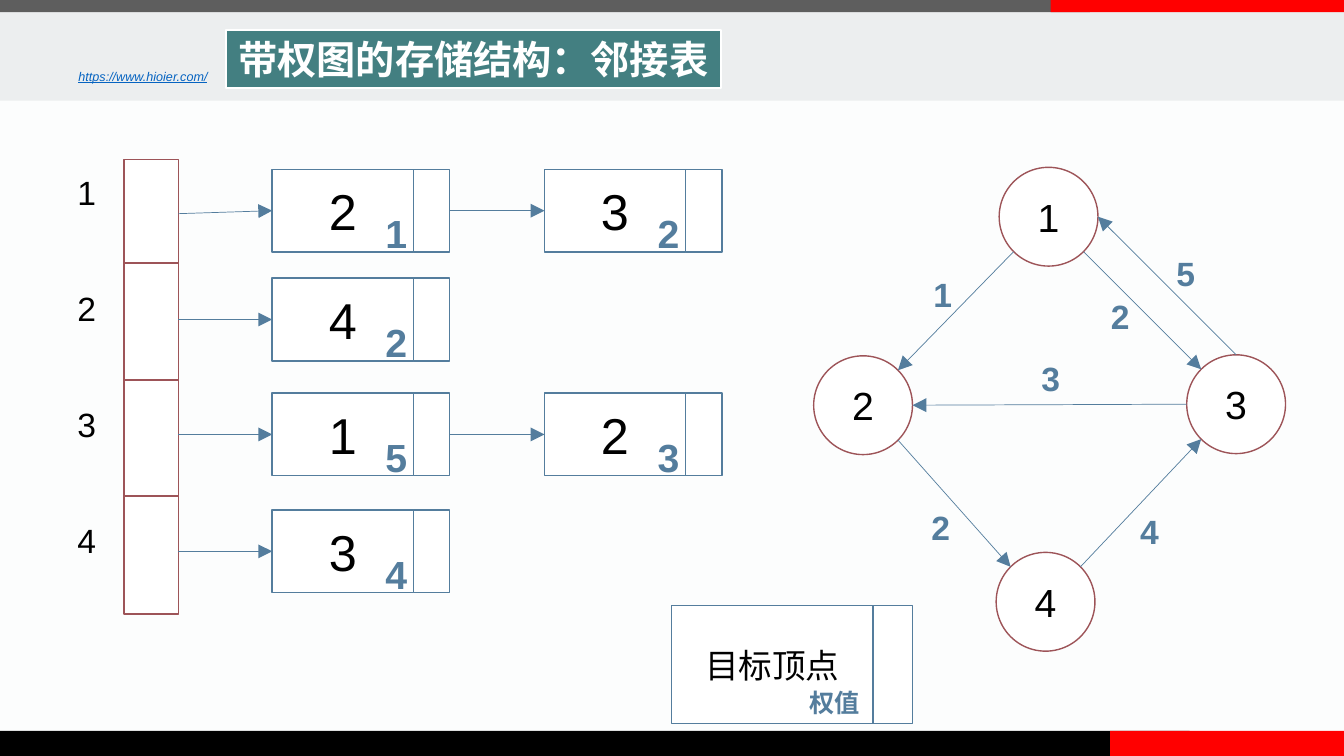
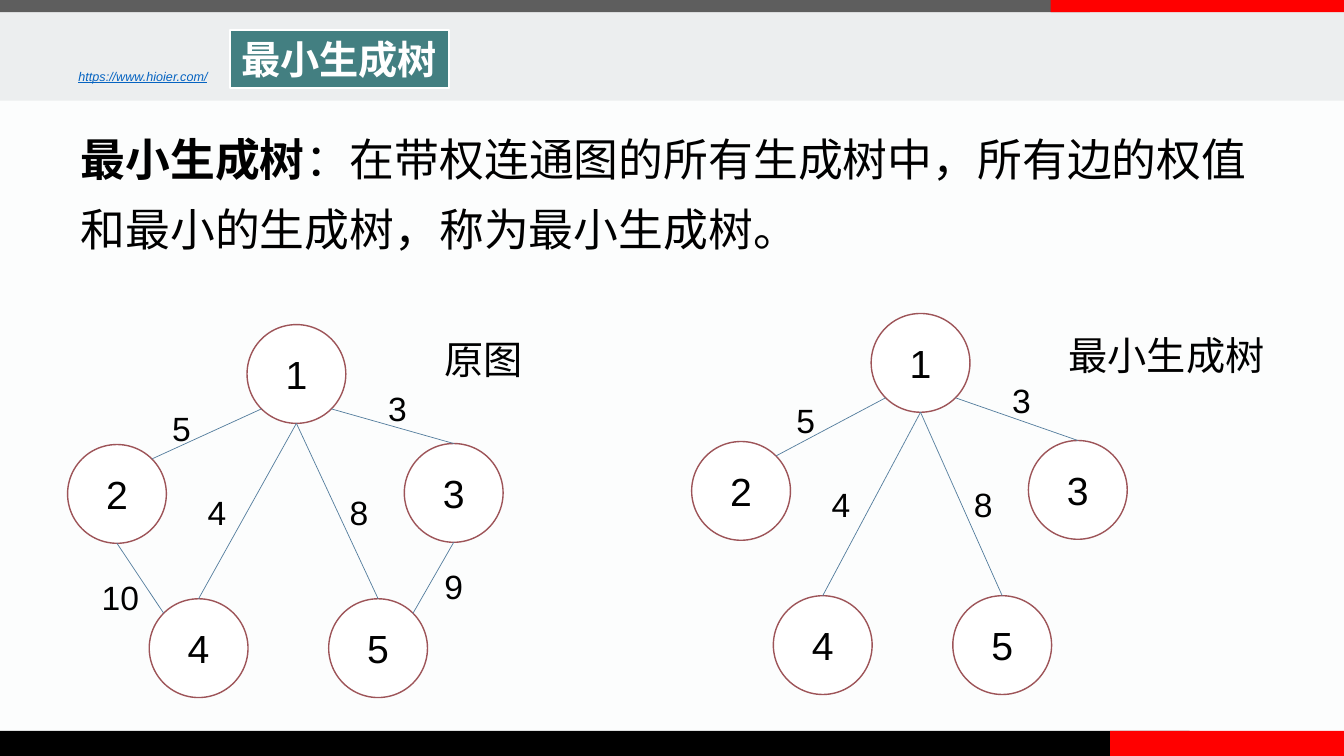
import dataclasses

import lxml.etree
import pptx
import pptx.dml.color
import pptx.enum.shapes
import pptx.enum.text
import pptx.oxml.ns
import pptx.util

Inches = pptx.util.Inches
SHAPE = pptx.enum.shapes.MSO_SHAPE
ALIGN = pptx.enum.text.PP_ALIGN
ANCHOR = pptx.enum.text.MSO_ANCHOR


@dataclasses.dataclass(frozen=True)
class Theme:
    """Colours, font and type sizes of the deck."""
    page: str = "FCFDFD"
    header: str = "ECEEEF"
    grey: str = "5E5E5E"
    black: str = "000000"
    red: str = "FF0000"
    white: str = "FFFFFF"
    link: str = "0563C1"
    teal: str = "437F81"
    maroon: str = "9D5458"
    blue: str = "547D9D"
    font: str = "Arial"
    url: int = 9
    small: int = 18
    label: int = 24
    heading: int = 28
    body: int = 32
    vertex: int = 36


@dataclasses.dataclass(frozen=True)
class EntryStyle:
    """Measures of a list entry; weight_box is relative to the entry."""
    width: float
    height: float
    pointer: float
    vertex_size: int
    weight_size: int
    weight_box: tuple


THEME = Theme()
ENTRY = EntryStyle(1.4, 0.82, 0.36, THEME.vertex, THEME.heading, (0.98, 0.35, 0.5, 0.57))
LEGEND = EntryStyle(2, 1.17, 0.39, THEME.label, THEME.small, (1.21, 0.76, 0.81, 0.4))
NODE = 0.98
DIAGONAL = 0.5 ** 0.5
SITES = {
    "n": (0, -1), "s": (0, 1), "w": (-1, 0), "e": (1, 0),
    "nw": (-DIAGONAL, -DIAGONAL), "ne": (DIAGONAL, -DIAGONAL),
    "sw": (-DIAGONAL, DIAGONAL), "se": (DIAGONAL, DIAGONAL),
}

DIRECTED_NODES = {1: (1.84, 0), 2: (0, 1.87), 3: (3.7, 1.86), 4: (1.81, 3.82)}
DIRECTED_EDGES = [
    (1, "sw", 2, "ne", "1", 1.09, 1.01),
    (1, "se", 3, "nw", "2", 2.85, 1.23),
    (4, "ne", 3, "sw", "4", 3.14, 3.36),
    (3, "w", 2, "e", "3", 2.16, 1.84),
    (3, "n", 1, "e", "5", 3.5, 0.8),
    (2, "se", 4, "nw", "2", 1.07, 3.32),
]
TREE_EDGES = [
    (1, "sw", 2, "ne", "5", 0.94, 0.78),
    (1, "s", 5, "n", "8", 2.7, 1.61),
    (1, "se", 3, "n", "3", 3.08, 0.58),
    (4, "n", 1, "s", "4", 1.29, 1.61),
]
DROPPED_EDGES = [
    (3, "s", 5, "ne", "9", 3.64, 2.35),
    (4, "nw", 2, "s", "10", 0.24, 2.45),
]
ADJACENCY = [
    (0, 1.05, 0.1, 0.54, [("2", "1"), ("3", "2")]),
    (1.03, 1.17, 1.18, 1.59, [("4", "2")]),
    (2.19, 1.17, 2.32, 2.73, [("1", "5"), ("2", "3")]),
    (3.34, 1.17, 3.48, 3.89, [("3", "4")]),
]


def rgb(value):
    """Turn a hex string into a colour."""
    return pptx.dml.color.RGBColor.from_string(value)


def place(shape, box):
    """Move a shape to a box given in inches."""
    shape.left, shape.top, shape.width, shape.height = map(Inches, box)


def style(paragraph, size, color, bold=False, align=None):
    """Set the font and alignment of a paragraph."""
    paragraph.alignment = align
    paragraph.font.name = THEME.font
    paragraph.font.size = pptx.util.Pt(size)
    paragraph.font.color.rgb = rgb(color)
    paragraph.font.bold = bold


def add_box(shapes, box, fill, line=None, text="", size=THEME.label, kind=SHAPE.RECTANGLE):
    """Add a filled shape with optional outline and centred text."""
    shape = shapes.add_shape(kind, *map(Inches, box))
    shape.shadow.inherit = False
    shape.fill.solid()
    shape.fill.fore_color.rgb = rgb(fill)
    if line:
        shape.line.color.rgb = rgb(line)
        shape.line.width = pptx.util.Pt(1)
    else:
        shape.line.fill.background()
    if text:
        shape.text_frame.text = text
        style(shape.text_frame.paragraphs[0], size, THEME.black, align=ALIGN.CENTER)
    return shape


def add_text(shapes, box, text, size, color=THEME.black, **options):
    """Add a one-paragraph text box."""
    label = shapes.add_textbox(*map(Inches, box))
    label.text_frame.word_wrap = True
    label.text_frame.text = text
    style(label.text_frame.paragraphs[0], size, color, **options)
    return label


def add_line(shapes, start, end, arrow=False):
    """Add a thin straight line, with an arrowhead at its end if asked."""
    line = shapes.add_connector(
        pptx.enum.shapes.MSO_CONNECTOR.STRAIGHT, *map(Inches, (*start, *end)))
    line.line.color.rgb = rgb(THEME.blue)
    line.line.width = pptx.util.Pt(0.5)
    properties = line.element.spPr
    qn = pptx.oxml.ns.qn
    if arrow:
        lxml.etree.SubElement(properties.ln, qn("a:tailEnd"),
                              type="triangle", w="lg", len="lg")
    lxml.etree.SubElement(properties, qn("a:effectLst"))
    return line


def build_master(master, slide):
    """Give the master its background, bands and web address."""
    master.background.fill.solid()
    master.background.fill.fore_color.rgb = rgb(THEME.page)
    bands = [
        ((0, 0, 13.33, 1), THEME.header),
        ((0, 0, 10.81, 0.12), THEME.grey),
        ((0, 7.25, 11.8, 0.25), THEME.black),
        ((11.01, 7.25, 2.32, 0.25), THEME.red),
        ((10.42, 0, 2.91, 0.12), THEME.red),
    ]
    parts = [add_box(slide.shapes, box, fill) for box, fill in bands]
    address = add_text(slide.shapes, (0.68, 0.63, 6.67, 0.25), "https://www.hioier.com/",
                       THEME.url, THEME.link)
    address_font = address.text_frame.paragraphs[0].font
    address_font.underline = True
    address_font.italic = True
    for index, part in enumerate(parts + [address]):
        part.element.nvSpPr.cNvPr.set("id", str(100 + index))
        master.shapes.element.insert(2 + index, part.element)


def set_title(slide, text, left, width):
    """Fill the title placeholder as a teal plate."""
    title = slide.shapes.title
    place(title, (left, 0.3, width, 0.57))
    title.fill.solid()
    title.fill.fore_color.rgb = rgb(THEME.teal)
    title.line.color.rgb = rgb(THEME.white)
    title.line.width = pptx.util.Pt(1.5)
    frame = title.text_frame
    frame.text = text
    frame.word_wrap = False
    frame.auto_size = pptx.enum.text.MSO_AUTO_SIZE.NONE
    frame.vertical_anchor = ANCHOR.MIDDLE
    style(frame.paragraphs[0], THEME.heading, THEME.white, bold=True, align=ALIGN.CENTER)


def set_definition(body, box, term, meaning):
    """Fill the body placeholder with a bold term and its meaning."""
    place(body, box)
    frame = body.text_frame
    frame.word_wrap = True
    frame.auto_size = pptx.enum.text.MSO_AUTO_SIZE.NONE
    paragraph = frame.paragraphs[0]
    properties = paragraph._p.get_or_add_pPr()
    properties.set("marL", "0")
    properties.set("indent", "0")
    lxml.etree.SubElement(properties, pptx.oxml.ns.qn("a:buNone"))
    paragraph.line_spacing = 1.3
    paragraph.space_before = pptx.util.Pt(0)
    style(paragraph, THEME.body, THEME.black, align=ALIGN.LEFT)
    for text, bold in ((term, True), (meaning, False)):
        run = paragraph.add_run()
        run.text = text
        run.font.bold = bold


def draw_graph(shapes, left, top, nodes, edges, arrow=False, color=THEME.black):
    """Draw round nodes and weighted edges from the given corner."""
    for number, (x, y) in nodes.items():
        add_box(shapes, (left + x, top + y, NODE, NODE), THEME.white, THEME.maroon,
                str(number), THEME.heading, SHAPE.OVAL)

    def site_point(number, site):
        """Find a point on the rim of a node."""
        corner = zip((left, top), nodes[number], SITES[site])
        return tuple(base + offset + NODE / 2 * (1 + way) for base, offset, way in corner)

    for start, start_site, end, end_site, weight, x, y in edges:
        add_line(shapes, site_point(start, start_site), site_point(end, end_site), arrow)
        add_text(shapes, (left + x, top + y, 0.69, 0.5), weight, THEME.label, color,
                 bold=arrow)


def draw_tree(slide, left, top, edges, caption, caption_box, stretch=0):
    """Draw the five-node graph with its caption."""
    shapes = slide.shapes.add_group_shape().shapes
    middle, low = 1.18 + stretch, 2.72 + stretch
    nodes = {1: (1.78, 0), 2: (0, middle + 0.01), 3: (3.34, middle),
             4: (0.81, low), 5: (2.59, low)}
    lowered = [(*edge[:-1], edge[-1] + stretch / 3) for edge in edges]
    draw_graph(shapes, left, top, nodes, lowered)
    x, y, width = caption_box
    add_text(shapes, (left + x, top + y, width, 0.57), caption, THEME.heading)


def draw_entry(shapes, left, top, vertex, weight, entry=ENTRY):
    """Draw a list entry and return its vertex and pointer cells."""
    cell = add_box(shapes, (left, top, entry.width, entry.height), THEME.white,
                   THEME.blue, vertex, entry.vertex_size)
    pointer = add_box(shapes, (left + entry.width, top, entry.pointer, entry.height),
                      THEME.white, THEME.blue)
    x, y, width, height = entry.weight_box
    add_text(shapes, (left + x, top + y, width, height), weight, entry.weight_size,
             THEME.blue, bold=True, align=ALIGN.CENTER)
    return cell, pointer


def draw_adjacency(slide, left, top):
    """Draw the vertex column and the linked entries of each vertex."""
    shapes = slide.shapes.add_group_shape().shapes
    for index, (head_top, height, entry_top, arrow_y, entries) in enumerate(ADJACENCY):
        add_box(shapes, (left + 0.56, top + head_top, 0.54, height),
                THEME.white, THEME.maroon)
        add_text(shapes, (left, top + 0.08 + 1.15 * index, 0.56, 0.5), str(index + 1),
                 THEME.label)
        previous = None
        for column, (vertex, weight) in enumerate(entries):
            x = left + 2.03 + 2.7 * column
            cell, pointer = draw_entry(shapes, x, top + entry_top, vertex, weight)
            start = (left + 1.1, top + arrow_y)
            link = add_line(shapes, start, (x, top + entry_top + ENTRY.height / 2), True)
            if previous:
                link.begin_connect(previous, 3)
            link.end_connect(cell, 1)
            previous = pointer


def build_storage_slide(slide):
    """Build the slide on adjacency lists of weighted graphs."""
    set_title(slide, "带权图的存储结构：邻接表", 2.24, 4.91)
    graph = slide.shapes.add_group_shape().shapes
    draw_graph(graph, 8.07, 1.66, DIRECTED_NODES, DIRECTED_EDGES, True, THEME.blue)
    legend = slide.shapes.add_group_shape().shapes
    draw_entry(legend, 6.66, 6.01, "目标顶点", "权值", LEGEND)
    draw_adjacency(slide, 0.67, 1.58)


def build_tree_slide(slide):
    """Build the slide that defines the minimum spanning tree."""
    set_title(slide, "最小生成树", 2.28, 2.17)
    set_definition(slide.placeholders[1], (0.7, 1.1, 12, 1.5), "最小生成树",
                   "：在带权连通图的所有生成树中，所有边的权值和最小的生成树，称为最小生成树。")
    draw_tree(slide, 0.67, 3.22, TREE_EDGES + DROPPED_EDGES, "原图", (3.64, 0.06, 1.01))
    draw_tree(slide, 6.86, 3.11, TREE_EDGES, "最小生成树", (3.64, 0.13, 2.21), 0.08)


def main():
    """Build and save the deck."""
    deck = pptx.Presentation()
    deck.slide_width, deck.slide_height = Inches(13.33), Inches(7.5)
    storage = deck.slides.add_slide(deck.slide_layouts[5])
    build_master(deck.slide_master, storage)
    build_storage_slide(storage)
    build_tree_slide(deck.slides.add_slide(deck.slide_layouts[1]))
    deck.save("out.pptx")


if __name__ == "__main__":
    main()
